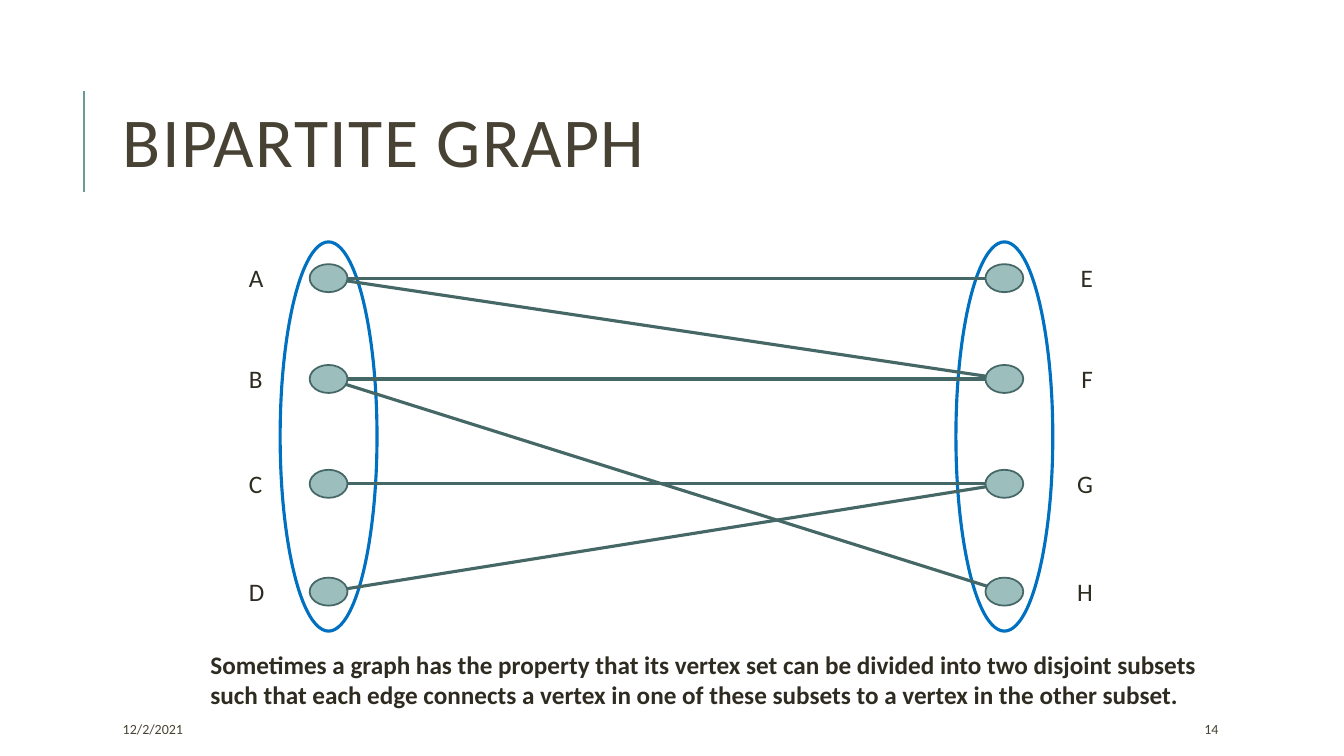
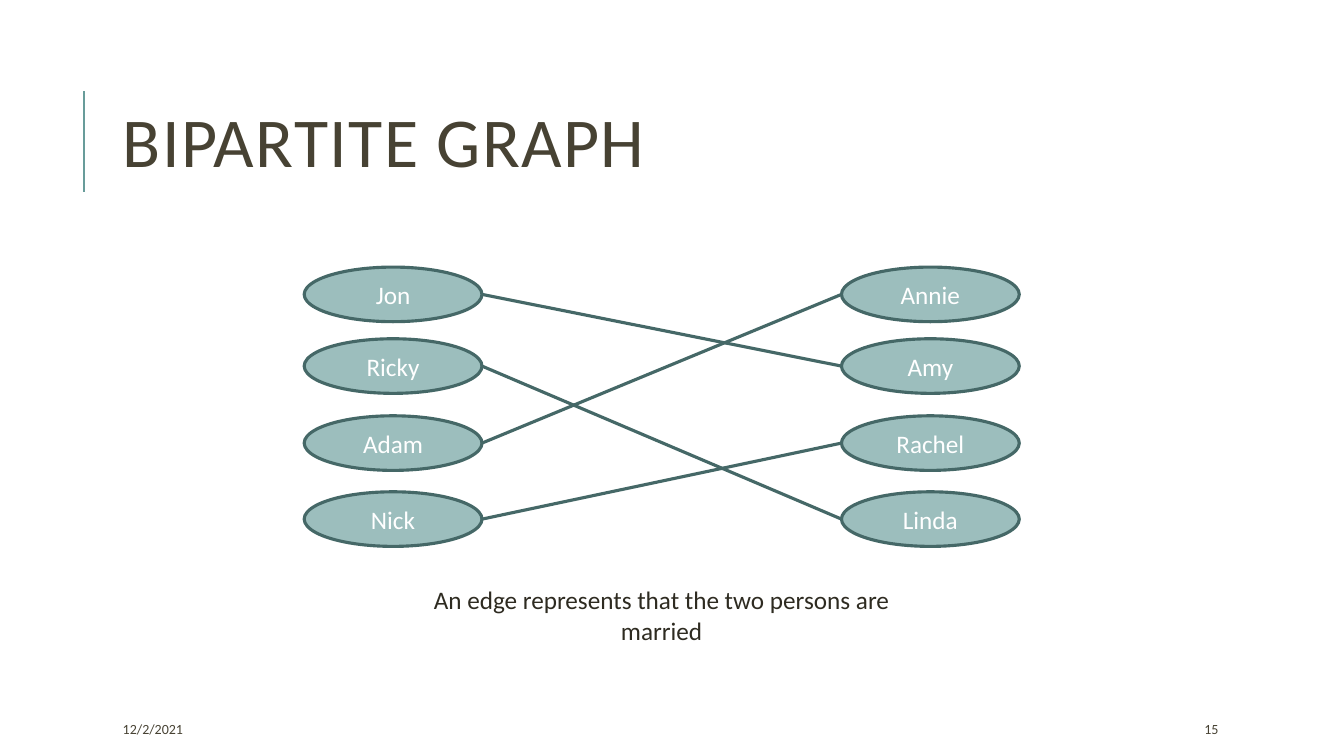
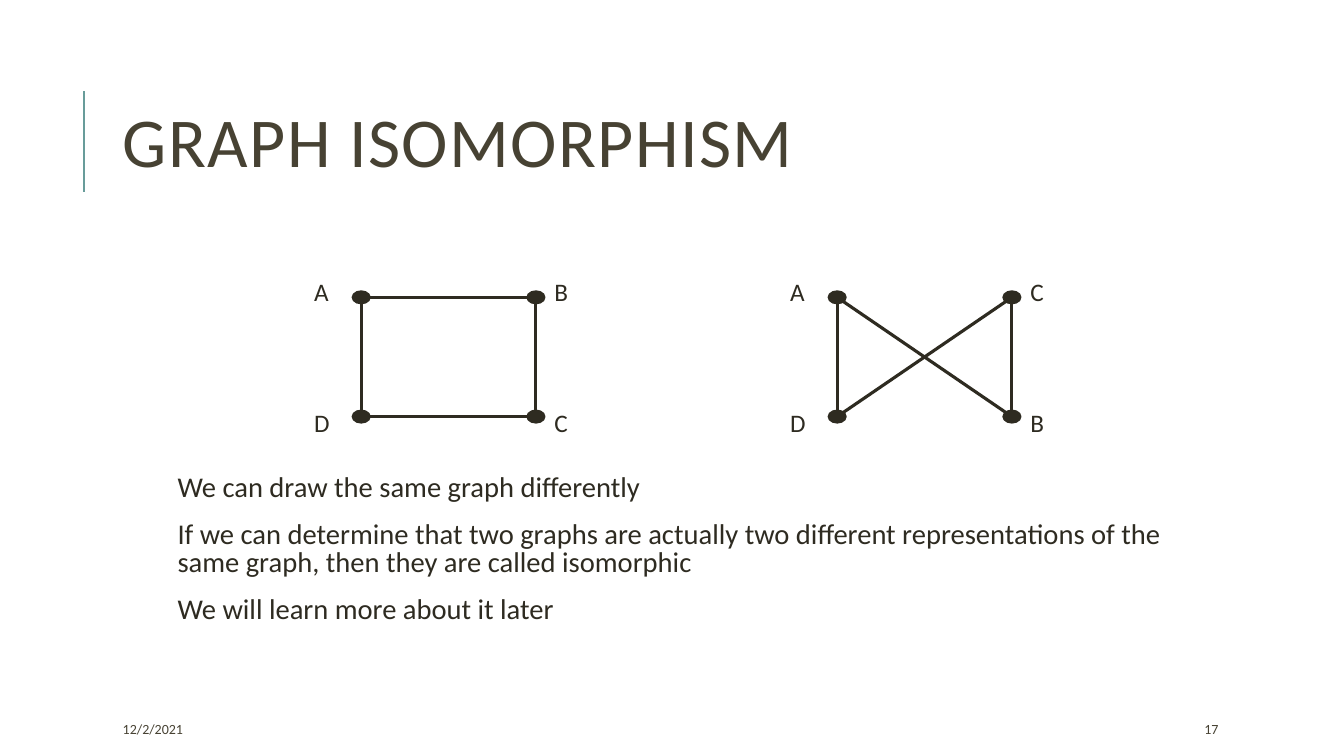
import dataclasses

import lxml.etree
import pptx
import pptx.dml.color
import pptx.enum.shapes
import pptx.enum.text
import pptx.oxml.ns
import pptx.util

Pt = pptx.util.Pt
RGB = pptx.dml.color.RGBColor.from_string
ALIGN = pptx.enum.text.PP_ALIGN
ANCHOR = pptx.enum.text.MSO_ANCHOR
qn = pptx.oxml.ns.qn


@dataclasses.dataclass(frozen=True)
class Theme:
    font: str = "Calibri"
    ink: str = "2E2B21"
    heading: str = "474233"
    accent: str = "689C9A"
    node: str = "9CBEBD"
    edge: str = "456867"
    subset: str = "0070C0"
    white: str = "FFFFFF"
    title_size: float = 50
    list_size: float = 20.4
    text_size: float = 18
    footer_size: float = 10
    thin: float = 1.25
    rule: float = 1.5
    thick: float = 2.25


class Deck:
    def __init__(self, theme):
        self.theme = theme
        self.prs = pptx.Presentation()
        self.prs.slide_width, self.prs.slide_height = Pt(960), Pt(540)
        self.s = None

    def slide(self, title, number, layout=5):
        t = self.theme
        self.s = self.prs.slides.add_slide(self.prs.slide_layouts[layout])
        self.line((60, 137), (60, 65), t.accent, t.rule)
        sp = self.place(self.s.shapes.title, 80.6, 46, 765.4, 118)
        tf = sp.text_frame
        tf.vertical_anchor = ANCHOR.MIDDLE
        r = self.styled_run(tf.paragraphs[0], title, t.title_size, t.heading)
        r.font._element.set("spc", "100")
        tf.paragraphs[0].line_spacing = 0.8
        for x, w, text in ((80.6, 170, "12/2/2021"), (853.2, 76.4, number)):
            self.text(text, x, 509.8, w, 21.6, size=t.footer_size,
                      color=t.heading, anchor=ANCHOR.MIDDLE)

    def place(self, sp, x, y, w, h):
        sp.left, sp.top, sp.width, sp.height = Pt(x), Pt(y), Pt(w), Pt(h)
        sp.text_frame.auto_size = pptx.enum.text.MSO_AUTO_SIZE.NONE
        sp.text_frame.word_wrap = True
        return sp

    def styled_run(self, p, text, size, color, align=ALIGN.LEFT, bold=False):
        p.alignment = align
        r = p.add_run()
        r.text = text
        r.font.name = self.theme.font
        r.font.size = Pt(size)
        r.font.bold = bold
        r.font.color.rgb = RGB(color)
        return r

    def text(self, text, x, y, w, h, size=None, color=None,
             align=ALIGN.LEFT, anchor=ANCHOR.TOP, bold=False):
        sp = self.s.shapes.add_textbox(0, 0, 0, 0)
        tf = self.place(sp, x, y, w, h).text_frame
        tf.vertical_anchor = anchor
        self.styled_run(tf.paragraphs[0], text, size or self.theme.text_size,
                        color or self.theme.ink, align, bold)

    def body(self, items, x, y, w, h):
        tf = self.place(self.s.placeholders[1], x, y, w, h).text_frame
        tf.margin_left = tf.margin_right = Pt(3.6)
        tf.margin_top = tf.margin_bottom = Pt(3.6)
        for i, item in enumerate(items):
            p = tf.add_paragraph() if i else tf.paragraphs[0]
            self.styled_run(p, item, self.theme.list_size, self.theme.ink)
            p.line_spacing = 0.8
            p.space_before, p.space_after = Pt(12), Pt(2)
            pPr = p._p.get_or_add_pPr()
            pPr.set("marL", str(int(Pt(7.2))))
            pPr.set("indent", "0")
            lxml.etree.SubElement(pPr, qn("a:buNone"))

    def oval(self, center, w, h, fill, line, width, text=None):
        x, y = center
        sp = self.s.shapes.add_shape(
            pptx.enum.shapes.MSO_SHAPE.OVAL,
            Pt(x - w / 2), Pt(y - h / 2), Pt(w), Pt(h))
        sp.shadow.inherit = False
        sp.fill.solid()
        sp.fill.fore_color.rgb = RGB(fill)
        sp.line.color.rgb = RGB(line)
        sp.line.width = Pt(width)
        if text:
            tf = sp.text_frame
            tf.vertical_anchor = ANCHOR.MIDDLE
            self.styled_run(tf.paragraphs[0], text, self.theme.text_size,
                            self.theme.white, ALIGN.CENTER)

    def line(self, start, end, color, width):
        cx = self.s.shapes.add_connector(
            pptx.enum.shapes.MSO_CONNECTOR.STRAIGHT,
            *(Pt(v) for v in (*start, *end)))
        cx.line.color.rgb = RGB(color)
        cx.line.width = Pt(width)
        lxml.etree.SubElement(cx._element.spPr, qn("a:effectLst"))


def columns(left, right, xs, ys):
    return {name: (x, y) for names, x in zip((left, right), xs)
            for name, y in zip(names, ys)}


def vertex_sets(deck):
    t = deck.theme
    deck.slide("BIPARTITE GRAPH", "14")
    xs = (234.7, 717.4)
    nodes = columns("ABCD", "EFGH", xs, (198.7, 270.7, 345.6, 422.6))
    for x in xs:
        deck.oval((x, 311.8), 69.2, 278, t.white, t.subset, t.thick)
    for a, b in ("AF", "AE", "BF", "BH", "CG", "DG"):
        deck.line(nodes[a], nodes[b], t.edge, t.thick)
    for name, (x, y) in nodes.items():
        deck.oval((x, y), 27, 20, t.node, t.edge, t.thin)
        if x == xs[0]:
            deck.text(name, x - 64, y - 14.8, 36, 29)
        else:
            deck.text(name, x + 34.4, y - 14.8, 36, 29, align=ALIGN.RIGHT)
    deck.text("Sometimes a graph has the property that its vertex set can be "
              "divided into two disjoint subsets such that each edge connects "
              "a vertex in one of these subsets to a vertex in the other "
              "subset.", 143.2, 460, 720.8, 51, bold=True)


def marriages(deck):
    t = deck.theme
    deck.slide("BIPARTITE GRAPH", "15")
    w, h = 127, 39
    people = columns(("Jon", "Ricky", "Adam", "Nick"),
                     ("Annie", "Amy", "Rachel", "Linda"),
                     (280.8, 664.6), (210.3, 261.5, 316.5, 370.8))
    for name, center in people.items():
        deck.oval(center, w, h, t.node, t.edge, t.thick, name)
    for a, b in (("Jon", "Amy"), ("Ricky", "Linda"),
                 ("Adam", "Annie"), ("Nick", "Rachel")):
        (ax, ay), (bx, by) = people[a], people[b]
        deck.line((ax + w / 2, ay), (bx - w / 2, by), t.edge, t.thick)
    deck.text("An edge represents that the two persons are married",
              273.6, 414, 398, 51, align=ALIGN.CENTER)


def isomorphism(deck):
    t = deck.theme
    deck.slide("GRAPH ISOMORPHISM", "17", layout=1)
    ys = (212.4, 297.6)
    for x, right in ((258, "BC"), (598, "CB")):
        nodes = columns("AD", right, (x, x + 124.8), ys)
        for a, b in ("AB", "BC", "CD", "DA"):
            deck.line(nodes[a], nodes[b], t.ink, t.thick)
        for name, (nx, ny) in nodes.items():
            deck.oval((nx, ny), 12.4, 8.8, t.ink, t.ink, t.thin)
            dx = -40.7 if nx == x else 6.2
            dy = -18.7 if ny == ys[0] else -10.3
            deck.text(name, nx + dx, ny + dy, 30, 29)
    deck.body(("We can draw the same graph differently",
               "If we can determine that two graphs are actually two "
               "different representations of the same graph, then they are "
               "called isomorphic",
               "We will learn more about it later"), 116, 336.2, 728.6, 116)


def main():
    deck = Deck(Theme())
    for build in (vertex_sets, marriages, isomorphism):
        build(deck)
    deck.prs.save("out.pptx")


if __name__ == "__main__":
    main()
